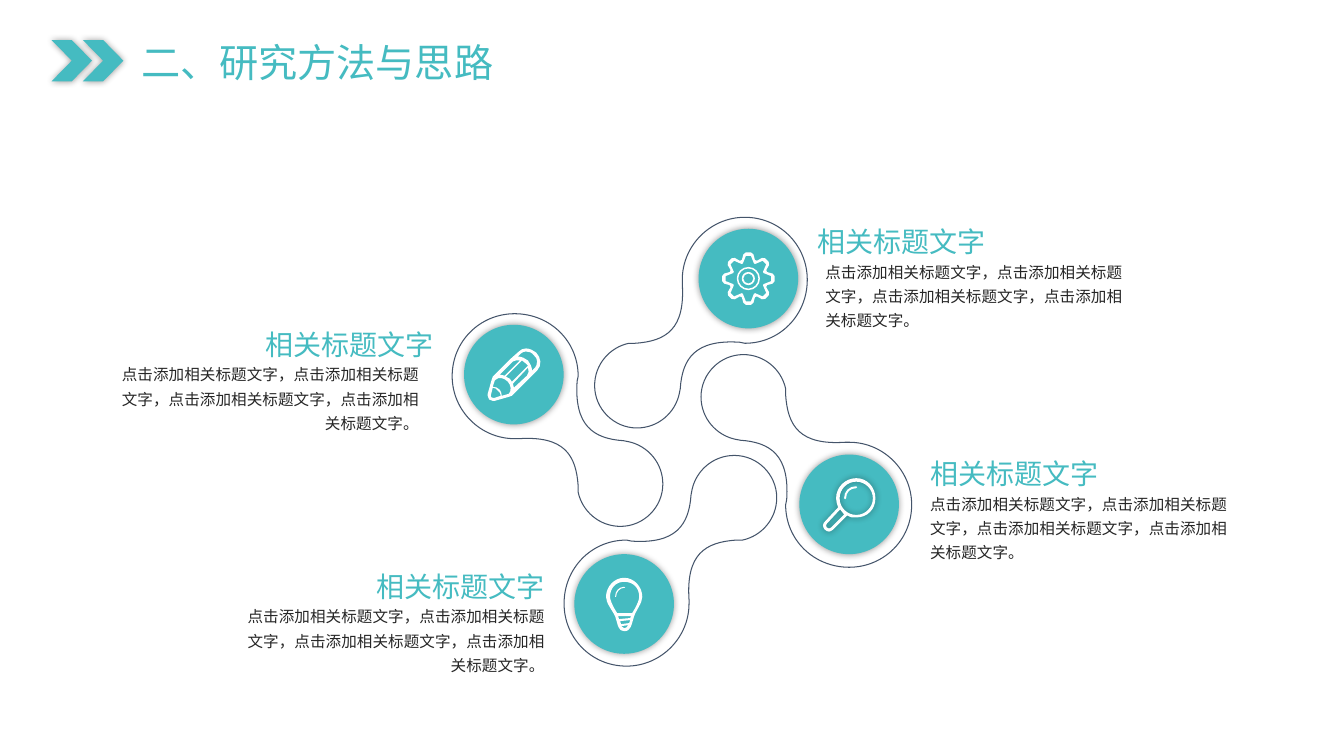
import math

import lxml.etree
import pptx
import pptx.dml.color
import pptx.enum.lang
import pptx.enum.shapes
import pptx.enum.text
import pptx.oxml
import pptx.oxml.ns
import pptx.util

Cm = pptx.util.Cm
Pt = pptx.util.Pt
RGBColor = pptx.dml.color.RGBColor
ALIGN = pptx.enum.text.PP_ALIGN
SHAPE = pptx.enum.shapes.MSO_SHAPE
qn = pptx.oxml.ns.qn

TEAL = RGBColor(0x45, 0xBB, 0xC1)
SLATE = RGBColor(0x44, 0x54, 0x6A)
CHARCOAL = RGBColor(0x26, 0x26, 0x26)
WHITE = RGBColor(0xFF, 0xFF, 0xFF)
CJK_FONT = "Noto Sans CJK JP"
GRID = Cm(2.54) // 100
DISC_SIZE = Cm(2.51)
HEADING = "相关标题文字"
DETAIL = "，".join(["点击添加相关标题文字"] * 4) + "。"

PETAL = [(0, -62), (35, -62, 63, -35, 63, 0), (62, 5), (59, 49, 78, 62, 108, 64), (113, 65),
         (132, 69, 147, 86, 147, 107), (147, 130, 128, 149, 105, 149),
         (84, 149, 67, 134, 63, 115), (63, 109), (61, 78, 49, 59, 4, 62), (0, 62),
         (-34, 62, -62, 34, -62, 0), (-62, -35, -34, -62, 0, -62)]

PENCIL_BODY = [(22, -22), (19, -24, 16, -26, 12, -26), (9, -26, 7, -25, 5, -23), (-4, -15), (-21, 2),
               (-22, 5), (-26, 19), (-26, 21), (-26, 24, -24, 26, -21, 26), (-19, 26), (-5, 22),
               (-2, 21), (23, -4), (28, -9, 27, -17, 22, -22)]
PENCIL_ERASER = [(21, -7), (18, -4), (18, -8, 16, -11, 14, -14), (11, -16, 8, -18, 4, -18), (7, -21),
                 (8, -22, 10, -23, 12, -23), (15, -23, 18, -22, 20, -19),
                 (22, -18, 23, -15, 23, -13), (23, -10, 22, -8, 21, -7)]
PENCIL_WOOD = [(-12, 21), (-12, 19, -13, 16, -14, 15), (-16, 13, -18, 12, -21, 12), (-19, 6),
               (-18, 5), (-15, 2, -10, 3, -6, 7), (-3, 10, -2, 16, -5, 19)]
PENCIL_LEAD = [(-19, 23), (-21, 23), (-22, 23, -23, 22, -23, 21), (-21, 13),
               (-19, 13, -17, 14, -16, 16), (-14, 17, -13, 19, -13, 21)]
PENCIL_STRIPES = [[(-9, 1), (-14, 0), (-1, -13), (1, -14, 4, -15, 6, -14)],
                  [(-2, 7), (-4, 4), (-8, 2), (8, -14), (12, -11), (14, -9)],
                  [(0, 13), (-1, 9), (14, -7), (15, -4, 15, -1, 13, 1)]]

BULB_BODY = [(0, -26), (-10, -26, -18, -17, -18, -7), (-18, -1, -12, 6, -9, 12),
             (-6, 21, -6, 27, 0, 27), (7, 27, 7, 21, 10, 12), (12, 6, 18, -1, 18, -7),
             (18, -17, 10, -26, 0, -26)]
BULB_GLASS = [(8, 9), (-7, 9), (-10, 4), (-12, 0, -14, -4, -14, -7),
              (-14, -16, -8, -22, 0, -22), (9, -22, 15, -16, 15, -7), (15, -4, 13, 0, 11, 4)]
BULB_THREADS = [[(0, 24), (-3, 22), (4, 21), (3, 23, 2, 24, 0, 24)],
                [(-5, 15), (-6, 12), (7, 12), (6, 14)],
                [(5, 19), (-3, 20), (-4, 17), (6, 16)]]
BULB_GLINT = [(0, -17), (-5, -17, -9, -13, -9, -7), (-8, -7), (-8, -12, -4, -16, 0, -16), (1, -16)]

LENS_BODY = [(7, -26), (-4, -26, -13, -17, -13, -6), (-13, -3, -12, 0, -11, 3), (-24, 17),
             (-25, 18, -26, 19, -26, 21), (-26, 24, -23, 27, -20, 27), (-19, 27, -17, 26, -16, 25),
             (-2, 11), (0, 13, 3, 13, 7, 13), (18, 13, 26, 5, 26, -6), (26, -17, 18, -26, 7, -26)]
LENS_HANDLE = [(-18, 23), (-20, 24), (-22, 24, -23, 22, -23, 21), (-22, 19), (-9, 5),
               (-8, 7, -6, 8, -5, 10)]
LENS_GLINT = [(7, -18), (0, -18, -5, -13, -5, -6), (-4, -5), (-3, -6), (-3, -12, 1, -16, 7, -16), (8, -17)]


def circle(radius, x=0, y=0):
    k = radius * 0.55
    quarter = (radius, k, k, radius, 0, radius)
    curves = []
    for degrees in range(0, 360, 90):
        points = [rotate(*quarter[i:i + 2], degrees) for i in (0, 2, 4)]
        curves.append(tuple(value for px, py in points for value in (px + x, py + y)))
    return [(x + radius, y), *curves]


def gear_outline(half_tooth):
    tooth = half_tooth + [(-x, y) for x, y in reversed(half_tooth)]
    return [rotate(x, y, 45 * index) for index in range(8) for x, y in tooth]


def rotate(x, y, degrees):
    cosine, sine = math.cos(math.radians(degrees)), math.sin(math.radians(degrees))
    return x * cosine - y * sine, x * sine + y * cosine


def place_segment(segment, centre, degrees):
    turned = [rotate(*segment[i:i + 2], degrees) for i in range(0, len(segment), 2)]
    return [(round(centre[0] + x * GRID), round(centre[1] + y * GRID)) for x, y in turned]


def draw_outline(slide, contours, centre, degrees=0):
    builder = None
    segments = []
    for contour in contours:
        start, *rest = [place_segment(segment, centre, degrees) for segment in contour]
        if builder is None:
            builder = slide.shapes.build_freeform(*start[0], scale=1.0)
        else:
            builder.move_to(*start[0])
        builder.add_line_segments([points[-1] for points in rest], close=False)
        builder.add_line_segments([], close=True)
        segments.extend(rest)
    shape = builder.convert_to_shape()
    shape.shadow.inherit = False
    lines = list(shape.element.spPr.iter(qn("a:lnTo")))
    for line, points in zip(lines, segments):
        if len(points) == 3:
            curve = lxml.etree.Element(qn("a:cubicBezTo"))
            for x, y in points:
                lxml.etree.SubElement(curve, qn("a:pt"), x=str(x - shape.left), y=str(y - shape.top))
            line.getparent().replace(line, curve)
    return shape


def paint(shape, color, glow=False):
    shape.fill.solid()
    shape.fill.fore_color.rgb = color
    shape.line.fill.background()
    shape.shadow.inherit = False
    if glow:
        effects = shape.element.spPr.find(qn("a:effectLst"))
        effects.append(pptx.oxml.parse_xml(
            '<a:outerShdw xmlns:a="http://schemas.openxmlformats.org/drawingml/2006/main" '
            'blurRad="63500" algn="ctr" rotWithShape="0"><a:srgbClr val="000000">'
            '<a:alpha val="40000"/></a:srgbClr></a:outerShdw>'))


def write(frame, text, size, color, font_name, alignment, spacing=None):
    paragraph = frame.paragraphs[0]
    paragraph.alignment = alignment
    paragraph.line_spacing = spacing
    run = paragraph.add_run()
    run.text = text
    run.font.size = Pt(size)
    run.font.name = font_name
    run.font.color.rgb = color
    run.font.language_id = pptx.enum.lang.MSO_LANGUAGE_ID.SIMPLIFIED_CHINESE
    east_asian = lxml.etree.Element(qn("a:ea"), typeface=CJK_FONT)
    run.font._element.find(qn("a:latin")).addnext(east_asian)


def add_header(slide, left, top):
    for index in range(2):
        chevron = slide.shapes.add_shape(SHAPE.CHEVRON, left + index * Cm(0.79), top + Cm(0.17),
                                         Cm(1.02), Cm(1.04))
        paint(chevron, TEAL, glow=True)
    title = slide.shapes.title
    title.left, title.top, title.width, title.height = left + Cm(2), top, Cm(9.5), Cm(1.45)
    title.text_frame.word_wrap = False
    title.text_frame.vertical_anchor = pptx.enum.text.MSO_ANCHOR.MIDDLE
    write(title.text_frame, "二、研究方法与思路", 28, TEAL, CJK_FONT, ALIGN.LEFT)


def add_petal(slide, centre, disc_centre, degrees, icon, icon_glow):
    petal = draw_outline(slide, [PETAL], centre, degrees)
    petal.fill.background()
    petal.line.color.rgb = SLATE
    petal.line.width = Pt(0.75)
    x, y = disc_centre
    disc = slide.shapes.add_shape(SHAPE.OVAL, x - DISC_SIZE // 2, y - DISC_SIZE // 2, DISC_SIZE, DISC_SIZE)
    paint(disc, TEAL, glow=True)
    for index, contours in enumerate(icon):
        paint(draw_outline(slide, contours, disc_centre), WHITE, icon_glow and index == 0)


def add_callout(slide, edge, top, alignment, indent):
    lines = [(HEADING, 0, 0, 4.78, 1.27, 20, TEAL, CJK_FONT, False),
             (DETAIL, indent, 1.07, 7.98, 2.11, 11.1, CHARCOAL, "Arial", True)]
    for text, inset, drop, width, height, size, color, font_name, wrap in lines:
        left = edge + Cm(inset) if alignment == ALIGN.LEFT else edge - Cm(inset + width)
        box = slide.shapes.add_textbox(left, top + Cm(drop), Cm(width), Cm(height))
        box.text_frame.word_wrap = wrap
        write(box.text_frame, text, size, color, font_name, alignment, 1.3)


def main():
    presentation = pptx.Presentation()
    presentation.slide_width, presentation.slide_height = Cm(33.87), Cm(19.05)
    slide = presentation.slides.add_slide(presentation.slide_layouts[5])
    add_header(slide, Cm(1.3), Cm(0.84))

    pencil = [[PENCIL_BODY, PENCIL_ERASER, PENCIL_WOOD, PENCIL_LEAD, *PENCIL_STRIPES]]
    bulb = [[BULB_BODY, BULB_GLASS, *BULB_THREADS], [BULB_GLINT]]
    gear = [[gear_outline([(-6.5, -18.5), (-5, -24), (-2.5, -26)]),
             gear_outline([(-5.5, -15), (-2.5, -22.5)])],
            [circle(11.5), circle(10)], [circle(6.5), circle(5)]]
    lens = [[LENS_BODY, circle(16.5, 7, -6), LENS_HANDLE], [LENS_GLINT]]
    steps = [(12.97, 9.48, 12.95, 9.44, 0, pencil, 11.18, 7.87, ALIGN.RIGHT, 0.38),
             (15.79, 15.21, 15.73, 15.22, -90, bulb, 13.97, 13.97, ALIGN.RIGHT, 0),
             (18.77, 7.05, 18.86, 7.02, 90, gear, 20.35, 5.28, ALIGN.LEFT, 0.2),
             (21.4, 12.72, 21.4, 12.71, 180, lens, 23.19, 11.13, ALIGN.LEFT, 0)]
    for x, y, disc_x, disc_y, degrees, icon, edge, top, alignment, indent in steps:
        add_petal(slide, (Cm(x), Cm(y)), (Cm(disc_x), Cm(disc_y)), degrees, icon, icon is lens)
        add_callout(slide, Cm(edge), Cm(top), alignment, indent)
    presentation.save("out.pptx")


if __name__ == "__main__":
    main()
